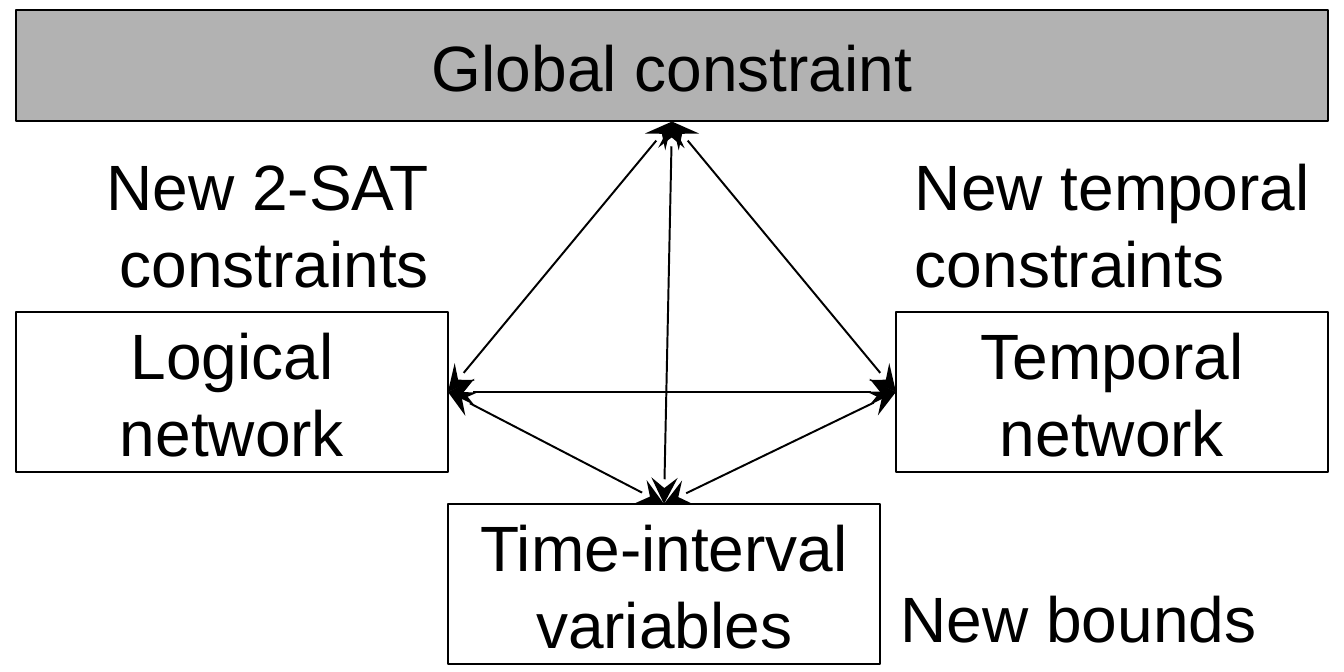
"""Builds a slide showing how a global constraint and three networks exchange information."""
from lxml.etree import SubElement
from pptx import Presentation
from pptx.dml.color import RGBColor
from pptx.enum.shapes import MSO_CONNECTOR as Connector, MSO_SHAPE as Shape
from pptx.enum.text import MSO_ANCHOR as Anchor, MSO_AUTO_SIZE as AutoSize, PP_ALIGN as Align
from pptx.oxml.ns import qn
from pptx.util import Inches, Pt

BLACK = RGBColor(0x00, 0x00, 0x00)
GREY = RGBColor(0xB2, 0xB2, 0xB2)
CELL = Inches(1) // 12
COLUMNS, ROWS = 84, 42
BOX_WIDTH, BOX_HEIGHT = 27, 10


def grid(*counts):
    """Turn counts of grid cells into lengths."""
    return [round(count * CELL) for count in counts]


def write_lines(frame, lines, align):
    """Write each line as a paragraph with one run."""
    frame.word_wrap = False
    for index, line in enumerate(lines):
        para = frame.paragraphs[0] if index == 0 else frame.add_paragraph()
        para.alignment = align
        para.line_spacing = Pt(28.8)
        span = para.add_run()
        span.text = line
        span.font.name = "Arial"
        span.font.size = Pt(24)
        span.font.color.rgb = BLACK


def add_box(page, area, lines, fill=None):
    """Add an outlined box with centred text."""
    box = page.shapes.add_shape(Shape.RECTANGLE, *grid(*area))
    box.shadow.inherit = False
    if fill is None:
        box.fill.background()
    else:
        box.fill.solid()
        box.fill.fore_color.rgb = fill
    box.line.color.rgb = BLACK
    box.line.width = Pt(0.75)
    box.text_frame.vertical_anchor = Anchor.MIDDLE
    write_lines(box.text_frame, lines, Align.CENTER)


def add_label(page, area, lines, align=Align.LEFT):
    """Add free text beside a box."""
    frame = page.shapes.add_textbox(*grid(*area)).text_frame
    write_lines(frame, lines, align)
    frame.auto_size = AutoSize.SHAPE_TO_FIT_TEXT


def add_double_arrow(page, start, end):
    """Join two grid points by a line with a stealth head at each end."""
    arrow = page.shapes.add_connector(Connector.STRAIGHT, *grid(*start, *end))
    arrow.line.color.rgb = BLACK
    arrow.line.width = Pt(0.75)
    outline = arrow.line._get_or_add_ln()
    for tag in ("a:headEnd", "a:tailEnd"):
        SubElement(outline, qn(tag), type="stealth", w="lg", len="lg")
    SubElement(arrow._element.spPr, qn("a:effectLst"))


def main():
    """Build and save the slide."""
    deck = Presentation()
    deck.slide_width, deck.slide_height = grid(COLUMNS, ROWS)
    page = deck.slides.add_slide(deck.slide_layouts[6])

    left, middle, right = 1, 28, 56
    network_top, variables_top = 19.5, 31.5
    size = (BOX_WIDTH, BOX_HEIGHT)
    add_box(page, (left, network_top, *size), ["Logical", "network"])
    add_box(page, (right, network_top, *size), ["Temporal", "network"])
    add_box(page, (middle, variables_top, *size), ["Time-interval", "variables"])
    add_box(page, (left, 0.6, COLUMNS - 2 * left, 7), ["Global constraint"], GREY)

    add_label(page, (5.2, 8.6, 22.8, 10.8), ["New 2-SAT", "constraints"], Align.RIGHT)
    add_label(page, (right, 8.6, 28.2, 10.8), ["New temporal", "constraints"])
    add_label(page, (55.1, 35.6, 24.6, 6), ["New bounds"])

    constraint = (COLUMNS / 2, 7.6)
    logical = (left + BOX_WIDTH, network_top + BOX_HEIGHT / 2)
    temporal = (right, network_top + BOX_HEIGHT / 2)
    variables = (middle + BOX_WIDTH / 2, variables_top)
    for start, end in (
        (temporal, variables),
        (logical, variables),
        (temporal, logical),
        (constraint, logical),
        (constraint, temporal),
        (variables, constraint),
    ):
        add_double_arrow(page, start, end)

    deck.save("out.pptx")


if __name__ == "__main__":
    main()
